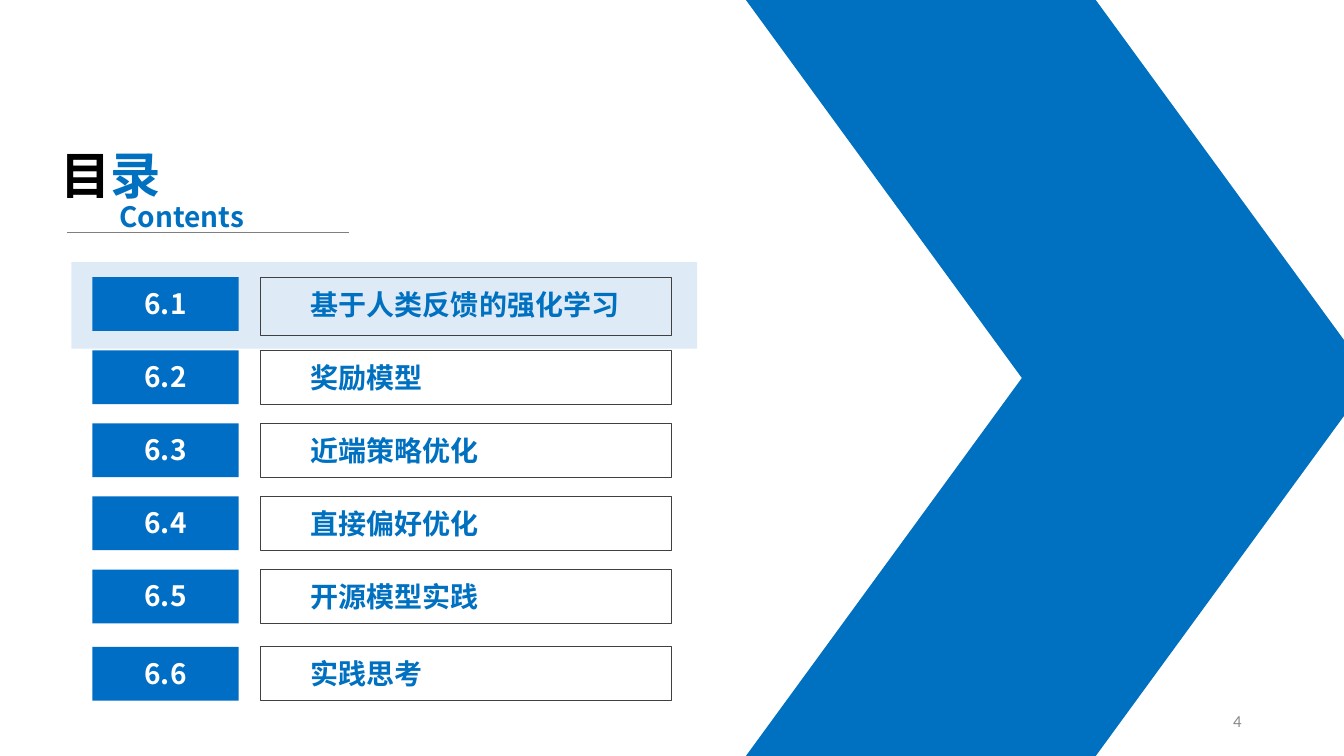
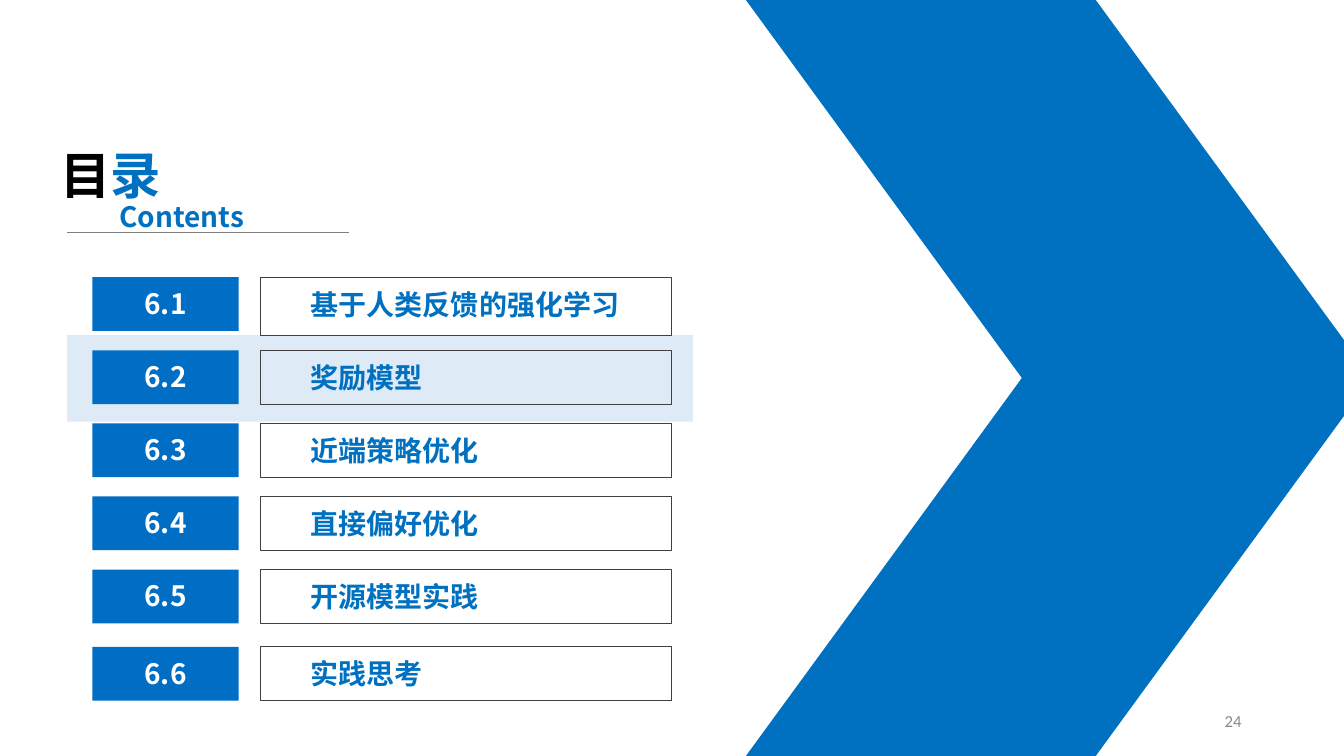
from pptx import Presentation, util as u
from pptx.dml.color import RGBColor
from pptx.enum import shapes, text
from pptx.oxml.ns import qn
from lxml import etree

COLUMNS, ROWS = 160, 90
CELL = u.Inches(1) // 12
COLORS = {
    "blue": "0070C0", "badge": "006EC5", "band": "DEEBF7", "outline": "404040",
    "rule": "7F7F7F", "number": "898989", "white": "FFFFFF", "black": "000000",
}
CJK = "Noto Sans CJK SC"
HEADING = {"name": CJK, "size": u.Pt(36), "bold": True}
ENTRY = {"name": CJK, "size": u.Pt(20), "bold": True}
FOOTER = {"name": "Calibri", "size": u.Pt(12)}

TOPICS = ["基于人类反馈的强化学习", "奖励模型", "近端策略优化",
          "直接偏好优化", "开源模型实践", "实践思考"]
FIRST_TOP, PITCH, ENTRY_HEIGHT = 33, 8.7, 6.4
# The last entry sits slightly apart from the evenly spaced ones.
TOPS = [FIRST_TOP + PITCH * i for i in range(len(TOPICS) - 1)] + [77]
LABEL_HEIGHTS = [7] + [ENTRY_HEIGHT] * (len(TOPICS) - 1)


def cells(*lengths):
    return [round(length * CELL) for length in lengths]


def color(name):
    return RGBColor.from_string(COLORS[name])


class ContentsDeck:
    def __init__(self):
        self.deck = Presentation()
        self.deck.slide_width, self.deck.slide_height = cells(COLUMNS, ROWS)
        self.page = None

    def new_page(self):
        self.page = self.deck.slides.add_slide(self.deck.slide_layouts[6])

    def shape(self, at, fill=None, line=None, kind=shapes.MSO_SHAPE.RECTANGLE):
        shape = self.page.shapes.add_shape(kind, *cells(*at))
        shape.shadow.inherit = False
        if fill:
            shape.fill.solid()
            shape.fill.fore_color.rgb = color(fill)
        else:
            shape.fill.background()
        if line:
            shape.line.color.rgb = color(line)
            shape.line.width = u.Pt(0.75)
        else:
            shape.line.fill.background()
        return shape

    def set_text(self, shape, spans, style, align="LEFT", anchor="TOP", **margins):
        """Fill a shape with one paragraph of (words, colour) spans."""
        frame = shape.text_frame
        frame.word_wrap = True
        frame.vertical_anchor = text.MSO_ANCHOR[anchor]
        for side, length in margins.items():
            setattr(frame, f"margin_{side}", cells(length)[0])
        para = frame.paragraphs[0]
        para.alignment = text.PP_ALIGN[align]
        for words, tint in spans:
            span = para.add_run()
            span.text = words
            for name, value in style.items():
                setattr(span.font, name, value)
            span.font.color.rgb = color(tint)
            east_asian = etree.SubElement(span.font._element, qn("a:ea"))
            east_asian.set("typeface", style["name"])

    def text_box(self, at, spans, style, **options):
        self.set_text(self.page.shapes.add_textbox(*cells(*at)), spans, style, **options)

    def rule(self, left, right, top):
        line = self.page.shapes.add_connector(
            shapes.MSO_CONNECTOR.STRAIGHT, *cells(left, top, right, top))
        line.line.color.rgb = color("rule")
        line.line.width = u.Pt(0.5)
        etree.SubElement(line._element.spPr, qn("a:effectLst"))

    def chevron(self):
        half = ROWS / 2
        for top in (half, 0):
            arm = self.shape((88.8, top, 74.5, half), "blue",
                             kind=shapes.MSO_SHAPE.PARALLELOGRAM)
            arm.adjustments[0] = 0.73
            if top == 0:
                arm._element.spPr.xfrm.set("flipV", "1")

    def title(self):
        self.text_box((6, 16.6, 18.8, 8.5), [("目", "black"), ("录", "blue")], HEADING)
        self.rule(8, 41.5, 27.7)
        self.text_box((13, 23.2, 18.8, 5.3), [("Contents", "blue")], ENTRY)

    def entry(self, number, topic, top, label_height):
        label = self.shape((31, top, 49, label_height), line="outline")
        self.set_text(label, [(topic, "blue")], ENTRY, left=6, top=1.2, right=0, bottom=0)
        badge = self.shape((11, top, 17.4, ENTRY_HEIGHT), "badge")
        self.set_text(badge, [(f"6.{number}", "white")], ENTRY, align="CENTER",
                      top=1.1, bottom=0)

    def contents(self, current, band_left, page_number):
        """Add a contents page with a band behind the current entry."""
        self.new_page()
        self.shape((band_left, TOPS[current] - 1.8, 74.5, 10.3), "band")
        self.chevron()
        self.title()
        for number, row in enumerate(zip(TOPICS, TOPS, LABEL_HEIGHTS), 1):
            self.entry(number, *row)
        self.text_box((113, 83.4, 36, 4.8), [(str(page_number), "number")], FOOTER,
                      align="RIGHT", anchor="MIDDLE")


def main():
    show = ContentsDeck()
    show.contents(current=0, band_left=8.5, page_number=4)
    show.contents(current=1, band_left=8, page_number=24)
    show.deck.save("out.pptx")


if __name__ == "__main__":
    main()
